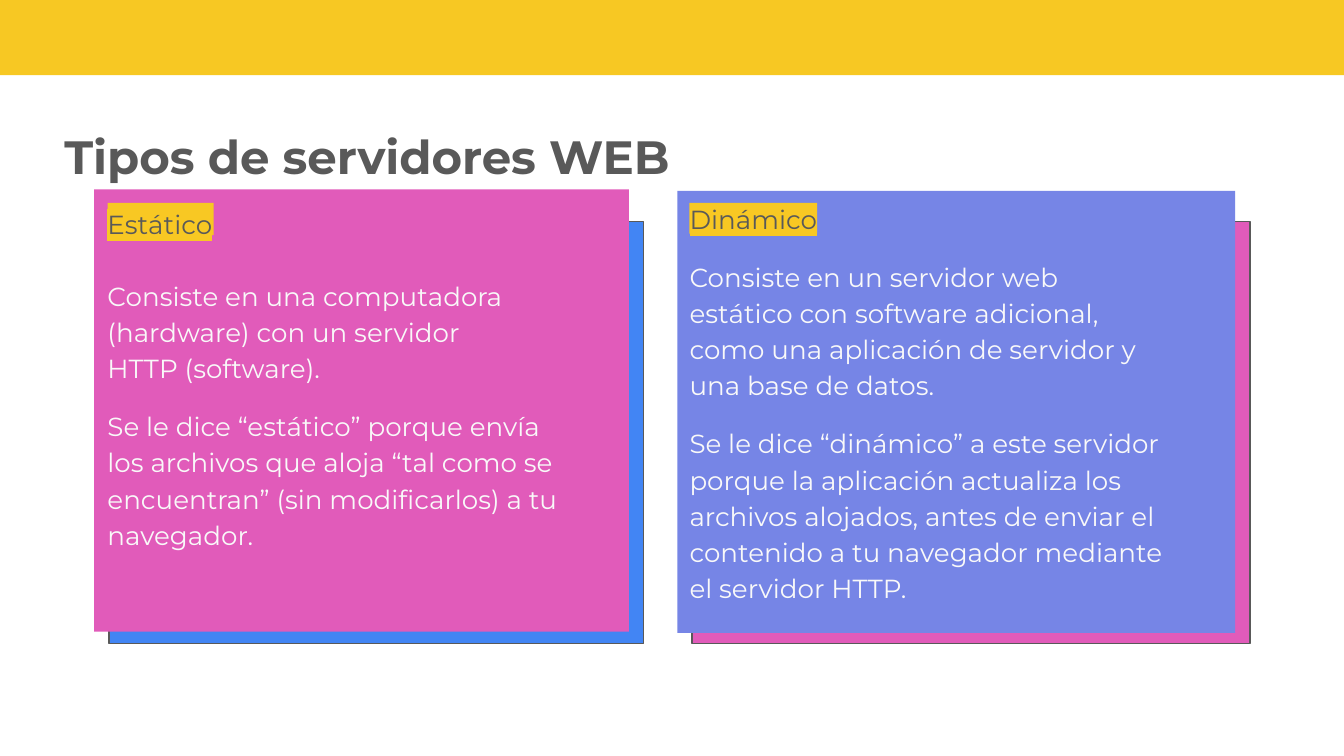
from lxml import etree
from pptx import Presentation
from pptx.dml.color import RGBColor
from pptx.enum.shapes import MSO_SHAPE
from pptx.oxml.ns import qn
from pptx.util import Inches, Pt

RECTANGLE = MSO_SHAPE.RECTANGLE
BLANK_LAYOUT = 6
SLIDE_WIDTH = 10
SLIDE_HEIGHT = SLIDE_WIDTH * 9 / 16
YELLOW, MARKER, PINK = "F7C823", "F8C823", "E15BBA"
BLUE, LAVENDER = "4285F4", "7685E6"
GRAY, WHITE = "595959", "F9F9F9"


def color(value):
    return RGBColor.from_string(value)


def apply(target, values):
    for name, value in values.items():
        setattr(target, name, value)


class SlideBuilder:
    font_name = "Montserrat"

    def __init__(self, slide):
        self.slide = slide

    def rectangle(self, left, top, width, height, fill, line=None):
        shape = self.slide.shapes.add_shape(
            RECTANGLE, Inches(left), Inches(top), Inches(width), Inches(height))
        shape.shadow.inherit = False
        shape.fill.solid()
        shape.fill.fore_color.rgb = color(fill)
        if line:
            shape.line.color.rgb = color(line)
            shape.line.width = Pt(0.75)
        else:
            shape.line.fill.background()

    def text(self, left, top, width, height, paragraphs, inset_top=0):
        shape = self.slide.shapes.add_textbox(
            Inches(left), Inches(top), Inches(width), Inches(height))
        frame = shape.text_frame
        apply(frame, {"word_wrap": True, "margin_left": 0, "margin_right": 0,
                      "margin_top": Inches(inset_top), "margin_bottom": 0})
        for index, values in enumerate(paragraphs):
            paragraph = frame.paragraphs[0] if index == 0 else frame.add_paragraph()
            self.paragraph(paragraph, **values)

    def paragraph(self, paragraph, text, ink, indent, right=0, size=14, bold=False,
                  spacing=1.0, before=0, highlight=None):
        apply(paragraph, {"line_spacing": spacing, "space_before": Pt(before)})
        properties = paragraph._p.get_or_add_pPr()
        properties.set("marL", str(Inches(indent)))
        properties.set("marR", str(Inches(right)))
        run = paragraph.add_run()
        run.text = text
        apply(run.font, {"name": self.font_name, "size": Pt(size), "bold": bold})
        run.font.color.rgb = color(ink)
        if highlight:
            marker = etree.Element(qn("a:highlight"))
            etree.SubElement(marker, qn("a:srgbClr")).set("val", highlight)
            run._r.rPr.find(qn("a:solidFill")).addnext(marker)

    def panel(self, left, top, width, fill, shadow):
        self.rectangle(left + 0.11, 1.65, width, 3.14, shadow, GRAY)
        self.rectangle(left, top, width, 3.29, fill)

    def card_text(self, left, top, width, height, indent, heading, heading_spacing,
                  body, inset_top=0):
        paragraphs = [{"text": heading, "ink": GRAY, "indent": indent,
                       "spacing": heading_spacing, "highlight": MARKER}]
        paragraphs += [{"text": text, "ink": WHITE, "indent": indent, "right": right,
                        "spacing": 1.15, "before": before}
                       for text, right, before in body]
        self.text(left, top, width, height, paragraphs, inset_top)


def main():
    presentation = Presentation()
    presentation.slide_width = Inches(SLIDE_WIDTH)
    presentation.slide_height = Inches(SLIDE_HEIGHT)
    slide = presentation.slides.add_slide(presentation.slide_layouts[BLANK_LAYOUT])
    builder = SlideBuilder(slide)

    builder.rectangle(0, 0, SLIDE_WIDTH, 0.56, YELLOW)
    builder.text(0.47, 0.93, 6.27, 0.44, [
        {"text": "Tipos de servidores WEB", "ink": GRAY, "indent": 0.01,
         "size": 25, "bold": True}], inset_top=0.02)

    builder.panel(5.04, 1.42, 4.15, LAVENDER, PINK)
    builder.rectangle(5.13, 1.51, 0.95, 0.23, YELLOW)
    builder.card_text(5.04, 1.42, 4.15, 3.06, 0.09, "Dinámico", 1.0, [
        ("Consiste en un servidor web estático con software adicional, como una "
         "aplicación de servidor y una base de datos.", 0.63, 12),
        ("Se le dice “dinámico” a este servidor porque la aplicación actualiza los "
         "archivos alojados, antes de enviar el contenido a tu navegador mediante "
         "el servidor HTTP.", 0.42, 12)], inset_top=0.09)

    builder.panel(0.7, 1.41, 3.98, PINK, BLUE)
    builder.rectangle(0.8, 1.51, 0.79, 0.24, YELLOW)
    builder.card_text(0.7, 1.51, 3.97, 2.58, 0.1, "Estático", 1.16, [
        ("Consiste en una computadora (hardware) con un servidor HTTP (software).",
         0.8, 19.5),
        ("Se le dice “estático” porque envía los archivos que aloja “tal como se "
         "encuentran” (sin modificarlos) a tu navegador.", 0.43, 12)])

    presentation.save("out.pptx")


if __name__ == "__main__":
    main()
